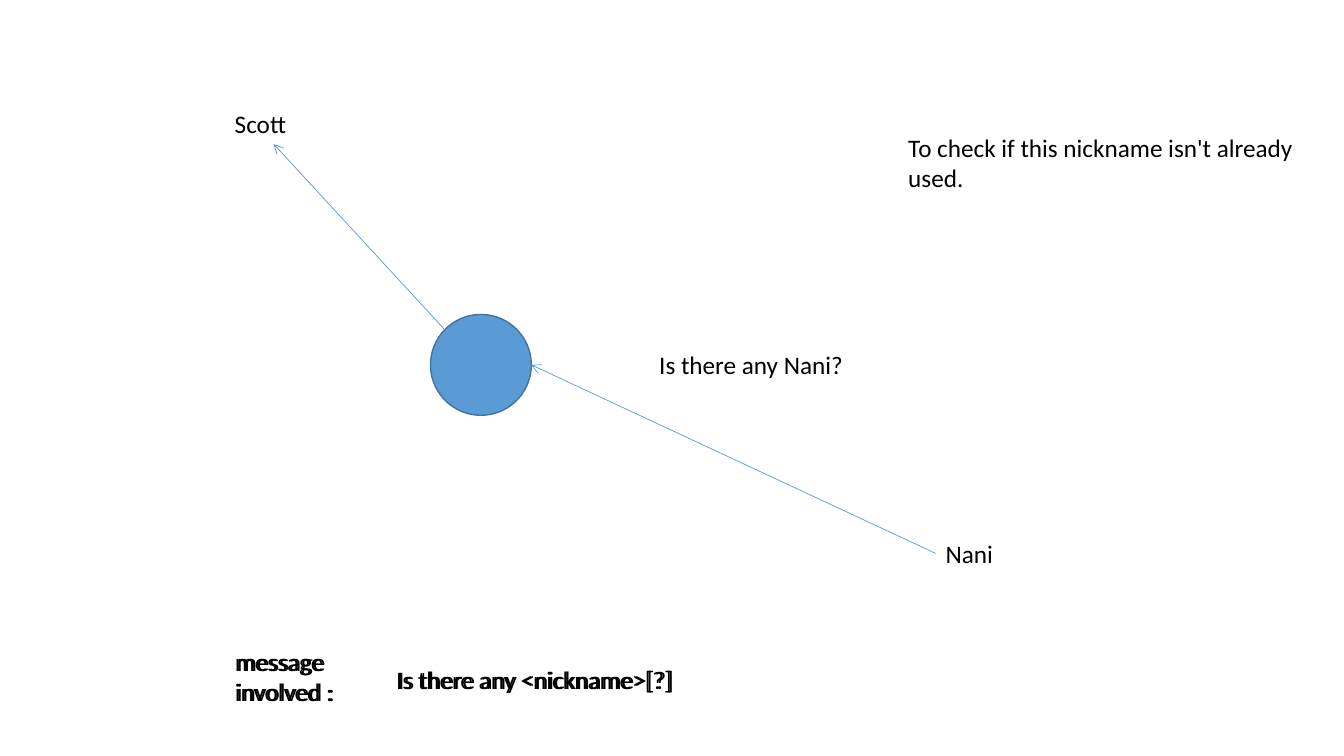
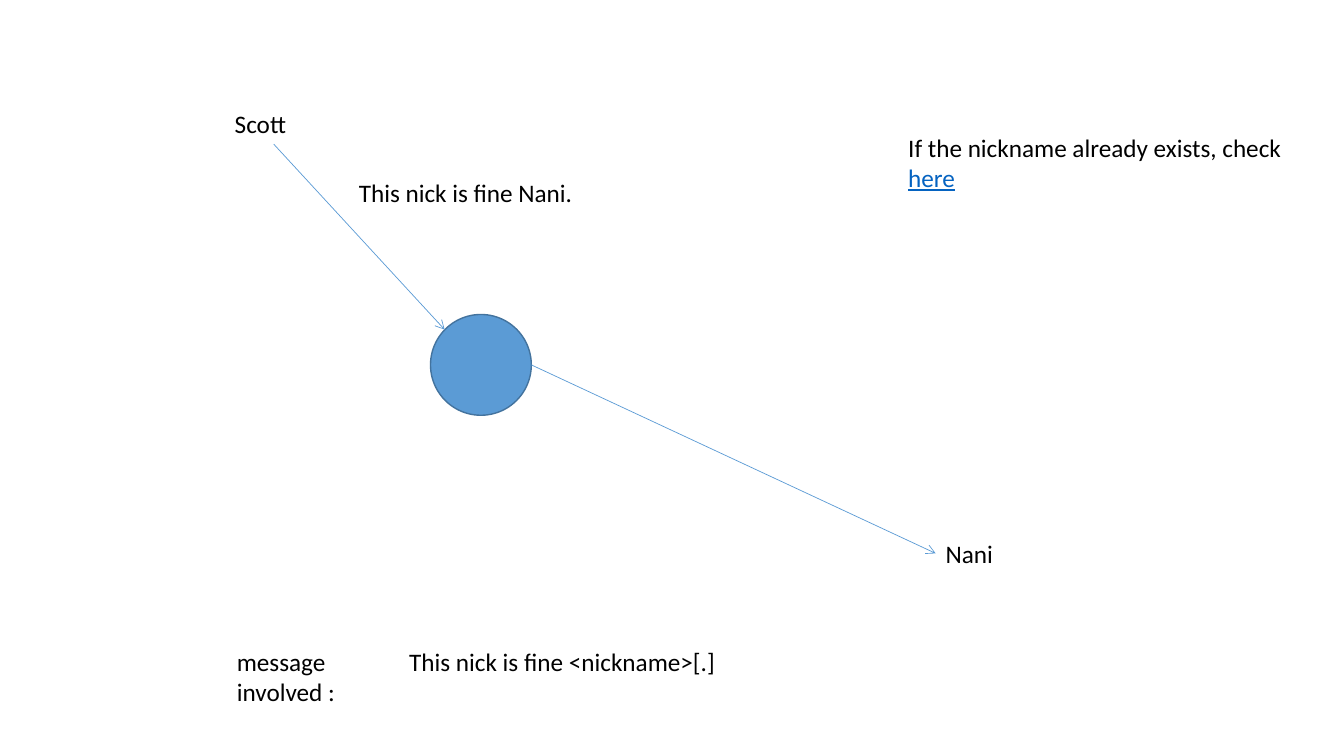
from lxml.etree import SubElement
from pptx import Presentation
from pptx.dml.color import RGBColor
from pptx.enum.shapes import MSO_CONNECTOR, MSO_SHAPE
from pptx.enum.text import MSO_AUTO_SIZE
from pptx.oxml.ns import qn
from pptx.util import Inches, Pt

BLACK, BLUE, DARK_BLUE, LINK = "000000", "5B9BD5", "43739E", "0563C1"
FONT = "Calibri"


def color(value):
    """Turn a hex string into a colour."""
    return RGBColor.from_string(value)


def add_text(s, box, *lines, linked=""):
    """Add a text box with one paragraph per line and an optional link-styled ending."""
    sp = s.shapes.add_textbox(*map(Inches, box))
    tf = sp.text_frame
    tf.word_wrap = True
    tf.auto_size = MSO_AUTO_SIZE.SHAPE_TO_FIT_TEXT
    tf.text = "\n".join(lines)
    for p in tf.paragraphs:
        p.font.name = FONT
        p.font.size = Pt(18)
        p.font.color.rgb = color(BLACK)
    if linked:
        r = tf.paragraphs[-1].add_run()
        r.text = linked
        r.font.underline = True
        r.font.color.rgb = color(LINK)
    return sp


def add_hub(s, x, y, size):
    """Draw the round node that relays messages."""
    sp = s.shapes.add_shape(MSO_SHAPE.OVAL, *map(Inches, (x, y, size, size)))
    sp.shadow.inherit = False
    sp.fill.solid()
    sp.fill.fore_color.rgb = color(BLUE)
    sp.line.color.rgb = color(DARK_BLUE)
    sp.line.width = Pt(1)


def add_arrow(s, person, site, hub_point, to_hub):
    """Draw an arrow between a person's label and a point on the hub."""
    x, y = map(Inches, hub_point)
    cx = s.shapes.add_connector(MSO_CONNECTOR.STRAIGHT, x, y, x, y)
    if to_hub:
        cx.begin_connect(person, site)
    else:
        cx.end_connect(person, site)
    cx.line.color.rgb = color(BLUE)
    cx.line.width = Pt(0.5)
    SubElement(cx.line._get_or_add_ln(), qn("a:tailEnd"), type="arrow")
    SubElement(cx._element.spPr, qn("a:effectLst"))


def add_network(s, x, y, nani_sends):
    """Draw Scott, Nani and the hub, with arrows in the direction of the message."""
    scott = add_text(s, (x, y, 0.97, 0.4), "Scott")
    nani = add_text(s, (x + 7.05, y + 4.26, 1.23, 0.4), "Nani")
    add_hub(s, x + 2.04, y + 2.09, 1)
    add_arrow(s, nani, 1, (x + 3.04, y + 2.59), nani_sends)
    add_arrow(s, scott, 2, (x + 2.18, y + 2.24), not nani_sends)


def add_message(s, x, y, syntax, dx, dy, width):
    """Label the message involved and give its syntax beside it."""
    add_text(s, (x, y, 1.71, 0.71), "message", "involved :")
    add_text(s, (x + dx, y + dy, width, 0.4), syntax)


def add_exchange(prs, nani_sends, speech, speech_box, note, linked=""):
    """Add a slide that shows one message passing through the network."""
    s = prs.slides.add_slide(prs.slide_layouts[6])
    add_network(s, 2.23, 1.03, nani_sends)
    add_text(s, speech_box, speech)
    add_text(s, (8.91, 1.26, 4.06, 0.71), note, linked=linked)
    return s


def main():
    """Build the two slides and save them."""
    prs = Presentation()
    prs.slide_width, prs.slide_height = Inches(13.33), Inches(7.5)

    s = add_exchange(prs, True, "Is there any Nani?", (6.44, 3.42, 2.04, 0.71),
                     "To check if this nickname isn't already used.")
    for x in (2.23, 2.25):
        add_message(s, x, 6.36, "Is there any <nickname>[?]", 1.6, 0.18, 3.56)

    s = add_exchange(prs, False, "This nick is fine Nani.", (3.46, 1.71, 2.61, 0.71),
                     "If the nickname already exists, check ", linked="here")
    add_message(s, 2.25, 6.36, "This nick is fine <nickname>[.]", 1.71, 0, 4.79)

    prs.save("out.pptx")


if __name__ == "__main__":
    main()
